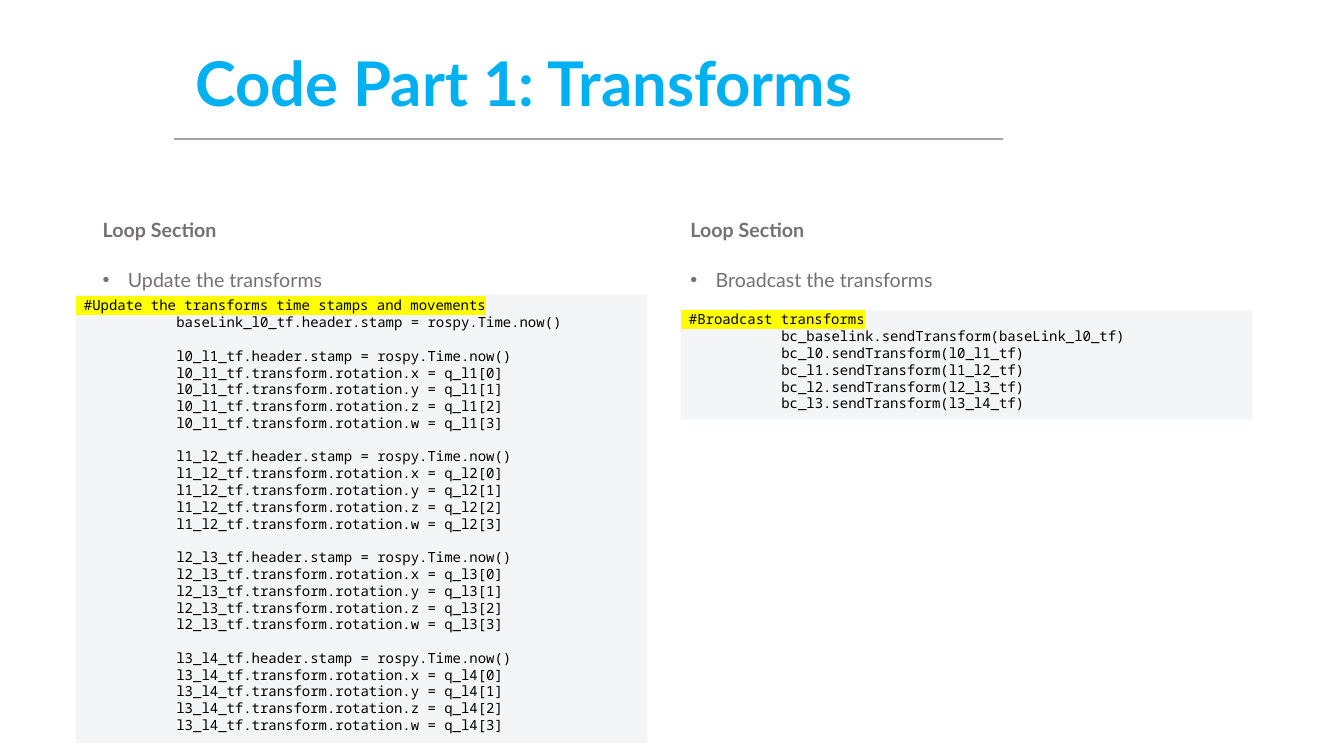
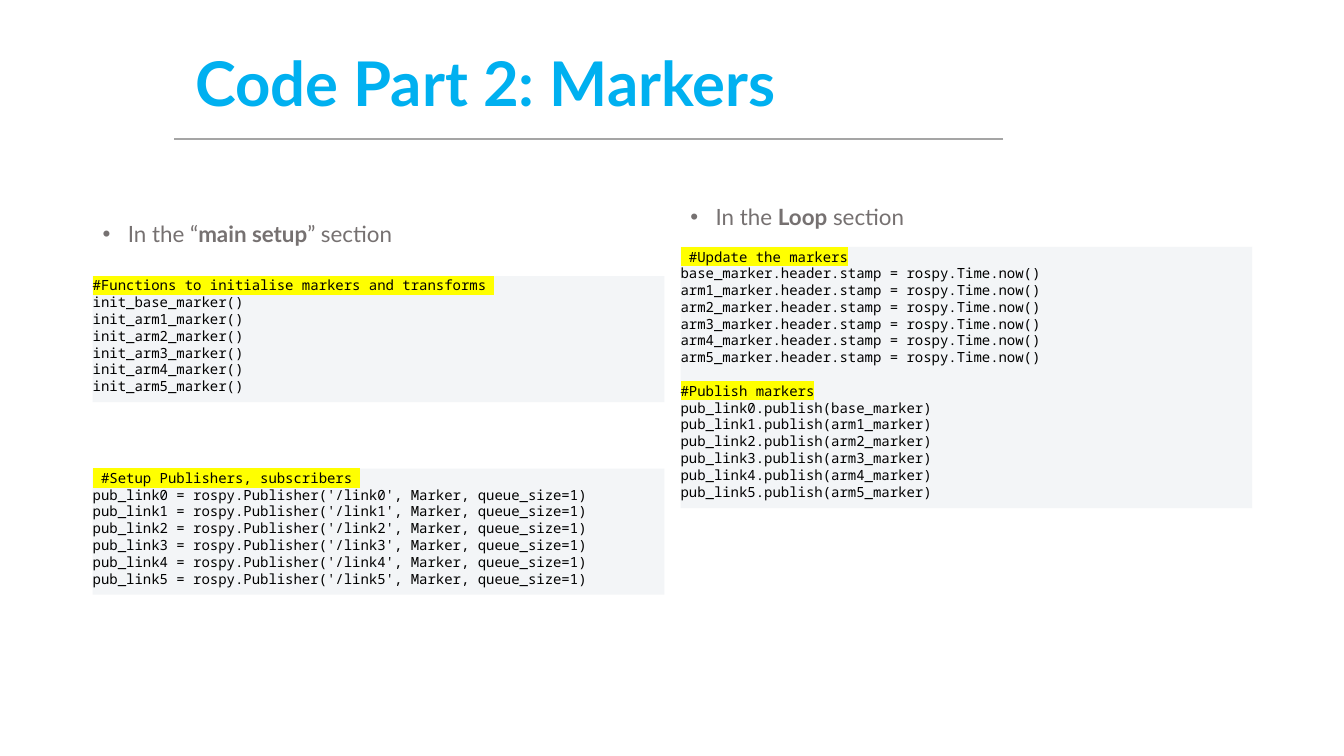
"""Build two slides that explain transform and marker code."""
from lxml import etree
from pptx import Presentation
from pptx.dml.color import RGBColor
from pptx.enum import shapes, text
from pptx.oxml.ns import qn
from pptx.util import Inches, Pt

TITLE_BLUE = RGBColor(0x00, 0xB0, 0xF0)
BODY_GREY = RGBColor(0x76, 0x71, 0x71)
RULE_GREY = RGBColor(0xA5, 0xA5, 0xA5)
CODE_FILL = RGBColor(0xF3, 0xF5, 0xF7)
CODE_BLACK = RGBColor(0x00, 0x00, 0x00)
MARKER_YELLOW = RGBColor(0xFF, 0xFF, 0x00)
TEXT_FONT = "Lato"
CODE_FONT = "Noto Sans Mono"
LEFT_COLUMN, RIGHT_COLUMN, COLUMN_WIDTH = 0.92, 6.75, 5.67
CODE_PITCH = Pt(12)


def style_span(span, size, color, font=TEXT_FONT, bold=False):
    span.font.size = Pt(size)
    span.font.name = font
    span.font.bold = bold
    span.font.color.rgb = color


def highlight(span):
    mark = etree.Element(qn("a:highlight"))
    etree.SubElement(mark, qn("a:srgbClr"), val=str(MARKER_YELLOW))
    span.font._element.find(qn("a:solidFill")).addnext(mark)


def add_bullet(para):
    props = para._p.get_or_add_pPr()
    props.set("marL", str(Inches(0.25)))
    props.set("indent", str(-Inches(0.25)))
    etree.SubElement(props, qn("a:buFont"), typeface="Arial")
    etree.SubElement(props, qn("a:buChar"), char="•")


def add_text_box(page, left, top, width, height):
    box = page.shapes.add_textbox(Inches(left), Inches(top), Inches(width), Inches(height))
    box.text_frame.word_wrap = True
    return box.text_frame


def add_title(page, title):
    rule = page.shapes.add_connector(
        shapes.MSO_CONNECTOR.STRAIGHT, Inches(9.95), Inches(1.38), Inches(1.73), Inches(1.38))
    rule.line.color.rgb = RULE_GREY
    rule.line.width = Pt(1.5)
    etree.SubElement(rule._element.spPr, qn("a:effectLst"))
    frame = add_text_box(page, 1.84, 0.13, 8.92, 1.45)
    frame.vertical_anchor = text.MSO_ANCHOR.MIDDLE
    frame.text = title
    para = frame.paragraphs[0]
    para.line_spacing = 0.9
    style_span(para.runs[0], 44, TITLE_BLUE, bold=True)


def add_body(page, left, bullet, size, heading=None, spacing=1.5):
    """Add a bullet of (words, bold) pairs under an optional heading."""
    frame = add_text_box(page, left, 2, COLUMN_WIDTH, 4.76)
    para = frame.paragraphs[0]
    entries = [([(heading, True)], False)] if heading else []
    entries.append((bullet, True))
    for index, (spans, bulleted) in enumerate(entries):
        if index:
            para = frame.add_paragraph()
        para.line_spacing = spacing
        para.space_before = Pt(10)
        if bulleted:
            add_bullet(para)
        for words, bold in spans:
            span = para.add_run()
            span.text = words
            style_span(span, size, BODY_GREY, bold=bold)


def add_code(page, left, top, height, groups, indent=0):
    """Add a code panel; groups of lines stand one line apart."""
    panel = page.shapes.add_shape(
        shapes.MSO_SHAPE.RECTANGLE, Inches(left), Inches(top), Inches(COLUMN_WIDTH), Inches(height))
    panel.shadow.inherit = False
    panel.fill.solid()
    panel.fill.fore_color.rgb = CODE_FILL
    panel.line.fill.background()
    frame = panel.text_frame
    frame.word_wrap = True
    frame.vertical_anchor = text.MSO_ANCHOR.MIDDLE
    frame.margin_left = frame.margin_top = frame.margin_right = 0
    frame.margin_bottom = Inches(0.07)
    frame.text = "\n".join(line for group in groups for line in group)
    paras = iter(frame.paragraphs)
    for number, group in enumerate(groups):
        for position, line in enumerate(group):
            para = next(paras)
            para.alignment = text.PP_ALIGN.LEFT
            para.line_spacing = CODE_PITCH
            if number and position == 0:
                para.space_before = CODE_PITCH
            span = para.runs[0]
            style_span(span, 10, CODE_BLACK, CODE_FONT)
            if line.strip().startswith("#"):
                highlight(span)
            elif indent:
                para._p.get_or_add_pPr().set("marL", str(Inches(indent)))


def add_transforms_page(page):
    add_body(page, LEFT_COLUMN, [("Update the transforms", False)], 14, "Loop Section")
    add_body(page, RIGHT_COLUMN, [("Broadcast the transforms", False)], 14, "Loop Section")
    add_title(page, "Code Part 1: Transforms")
    updates = [[" #Update the transforms time stamps and movements",
                "baseLink_l0_tf.header.stamp = rospy.Time.now()"]]
    for joint in range(4):
        name = f"l{joint}_l{joint + 1}_tf"
        updates.append([f"{name}.header.stamp = rospy.Time.now()"] + [
            f"{name}.transform.rotation.{axis} = q_l{joint + 1}[{index}]"
            for index, axis in enumerate("xyzw")])
    add_code(page, 0.75, 2.92, 4.45, updates, indent=1)
    broadcasts = [" #Broadcast transforms", "bc_baselink.sendTransform(baseLink_l0_tf)"]
    broadcasts += [f"bc_l{joint}.sendTransform(l{joint}_l{joint + 1}_tf)" for joint in range(4)]
    add_code(page, RIGHT_COLUMN, 3.08, 1.08, [broadcasts], indent=1)


def add_markers_page(page):
    add_body(page, LEFT_COLUMN,
             [("In the “", False), ("main setup", True), ("” section", False)], 16)
    add_body(page, RIGHT_COLUMN,
             [("In the ", False), ("Loop", True), (" section", False)], 16, spacing=0.9)
    add_title(page, "Code Part 2: Markers")
    markers = ["base_marker"] + [f"arm{arm}_marker" for arm in range(1, 6)]
    add_code(page, LEFT_COLUMN, 2.74, 1.25, [
        ["#Functions to initialise markers and transforms "]
        + [f"init_{marker}()" for marker in markers]])
    add_code(page, LEFT_COLUMN, 4.65, 1.25, [
        [" #Setup Publishers, subscribers "]
        + [f"pub_link{link} = rospy.Publisher('/link{link}', Marker, queue_size=1)"
           for link in range(6)]])
    add_code(page, RIGHT_COLUMN, 2.45, 2.59, [
        [" #Update the markers"]
        + [f"{marker}.header.stamp = rospy.Time.now()" for marker in markers],
        ["#Publish markers"]
        + [f"pub_link{link}.publish({marker})" for link, marker in enumerate(markers)]])


def main():
    deck = Presentation()
    deck.slide_width, deck.slide_height = Inches(13.33), Inches(7.5)
    for build_page in (add_transforms_page, add_markers_page):
        build_page(deck.slides.add_slide(deck.slide_layouts[6]))
    deck.save("out.pptx")


if __name__ == "__main__":
    main()
